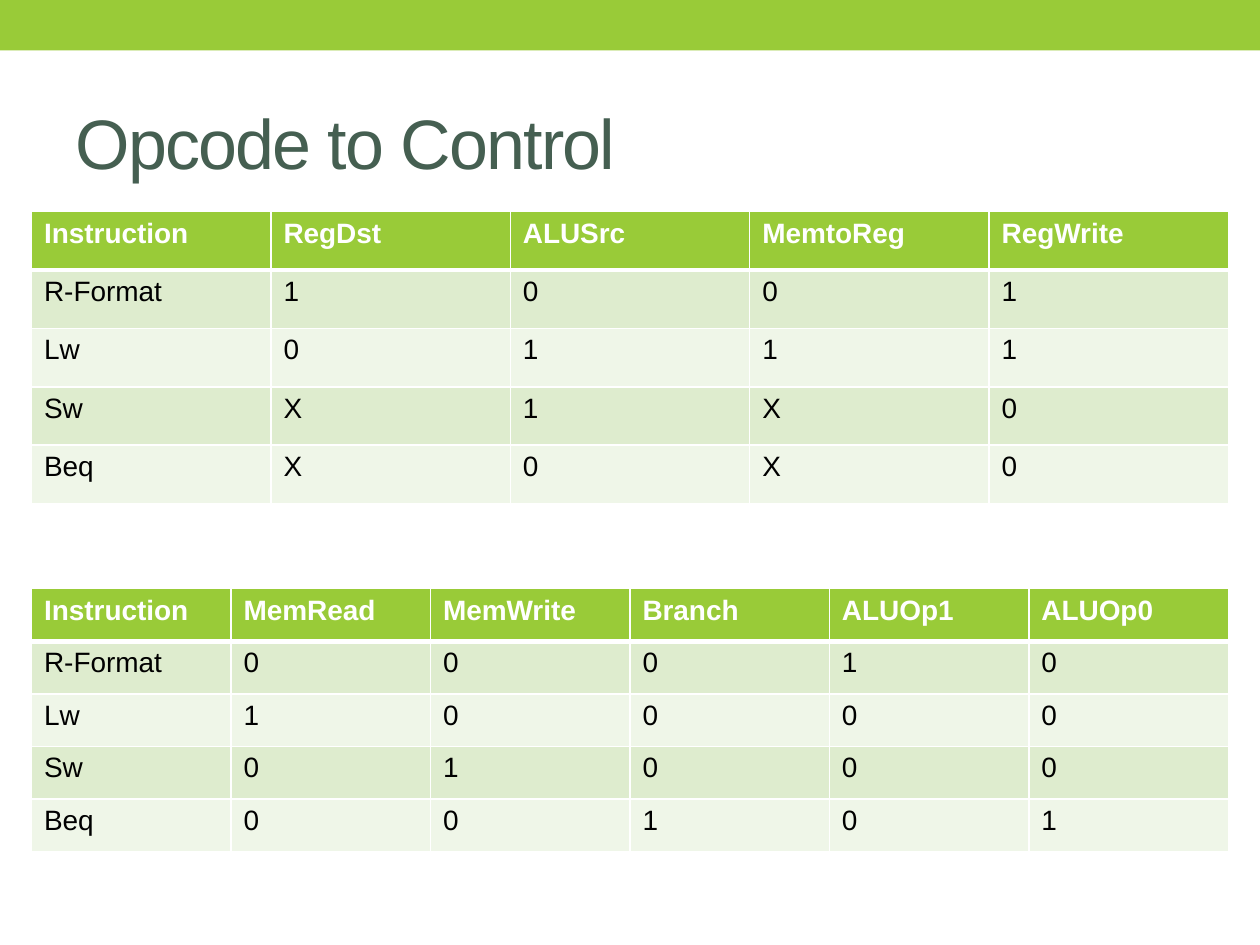
from dataclasses import dataclass

from lxml.etree import SubElement
from pptx import Presentation
from pptx.dml.color import RGBColor
from pptx.enum.shapes import MSO_SHAPE as Shape
from pptx.enum.text import MSO_ANCHOR as Anchor, MSO_AUTO_SIZE as AutoSize, PP_ALIGN as Align
from pptx.oxml.ns import qn
from pptx.util import Inches, Pt

WIDTH, HEIGHT = Inches(10), Inches(7.5)
GREEN = RGBColor(0x99, 0xCB, 0x38)
DARK_GREEN = RGBColor(0x45, 0x5F, 0x51)
WHITE = RGBColor(0xFF, 0xFF, 0xFF)
BLACK = RGBColor(0, 0, 0)
BANDS = RGBColor(0xDE, 0xEC, 0xCE), RGBColor(0xEF, 0xF6, 0xE8)
MARGIN = 0.025
THIN, THICK = 1, 3


@dataclass(frozen=True)
class ControlTable:
    top: float
    height: float
    signals: tuple[str, ...]
    settings: dict[str, str]


TABLES = (
    ControlTable(
        0.224, 0.309,
        ("RegDst", "ALUSrc", "MemtoReg", "RegWrite"),
        {"R-Format": "1001", "Lw": "0111", "Sw": "X1X0", "Beq": "X0X0"},
    ),
    ControlTable(
        0.623, 0.278,
        ("MemRead", "MemWrite", "Branch", "ALUOp1", "ALUOp0"),
        {"R-Format": "00010", "Lw": "10000", "Sw": "01000", "Beq": "00101"},
    ),
)


def write(frame, text: str, *, size: float, color: RGBColor, bold: bool = False, spacing: int = 0) -> None:
    para = frame.paragraphs[0]
    para.alignment = Align.LEFT
    span = para.add_run()
    span.text = text
    span.font.name = "Arial"
    span.font.size = Pt(size)
    span.font.bold = bold
    span.font.color.rgb = color
    if spacing:
        span.font._element.set("spc", str(spacing))


def add_borders(cell, **widths: float) -> None:
    properties = cell._tc.get_or_add_tcPr()
    for side in "LRTB":
        line = SubElement(properties, qn(f"a:ln{side}"), w=str(Pt(widths.get(side, THIN))))
        fill = SubElement(line, qn("a:solidFill"))
        SubElement(fill, qn("a:srgbClr"), val=str(WHITE))


def add_control_table(page, control: ControlTable) -> None:
    rows = [("Instruction", *control.signals)]
    rows += [(name, *bits) for name, bits in control.settings.items()]
    table = page.shapes.add_table(
        len(rows), len(rows[0]),
        int(WIDTH * MARGIN), int(HEIGHT * control.top),
        int(WIDTH * (1 - 2 * MARGIN)), int(HEIGHT * control.height),
    ).table
    for row_index, row in enumerate(rows):
        header = row_index == 0
        for column_index, text in enumerate(row):
            cell = table.cell(row_index, column_index)
            add_borders(cell, T=THICK if row_index == 1 else THIN, B=THICK if header else THIN)
            cell.fill.solid()
            cell.fill.fore_color.rgb = GREEN if header else BANDS[(row_index - 1) % 2]
            write(cell.text_frame, text, size=16, color=WHITE if header else BLACK, bold=header)


def add_top_bar(page) -> None:
    bar = page.shapes.add_shape(Shape.RECTANGLE, 0, 0, WIDTH, Inches(0.4))
    bar.shadow.inherit = False
    bar.fill.solid()
    bar.fill.fore_color.rgb = GREEN
    bar.line.fill.background()


def set_title(page, text: str) -> None:
    title = page.shapes.title
    title.left, title.top = int(WIDTH * 0.05), Inches(0.58)
    title.width, title.height = int(WIDTH * 0.9), Inches(1.08)
    frame = title.text_frame
    frame.auto_size = AutoSize.NONE
    frame.vertical_anchor = Anchor.MIDDLE
    write(frame, text, size=40, color=DARK_GREEN, spacing=-100)


def main() -> None:
    deck = Presentation()
    deck.slide_width, deck.slide_height = WIDTH, HEIGHT
    page = deck.slides.add_slide(deck.slide_layouts.get_by_name("Title Only"))
    add_top_bar(page)
    set_title(page, "Opcode to Control")
    for control in TABLES:
        add_control_table(page, control)
    deck.save("out.pptx")


if __name__ == "__main__":
    main()
